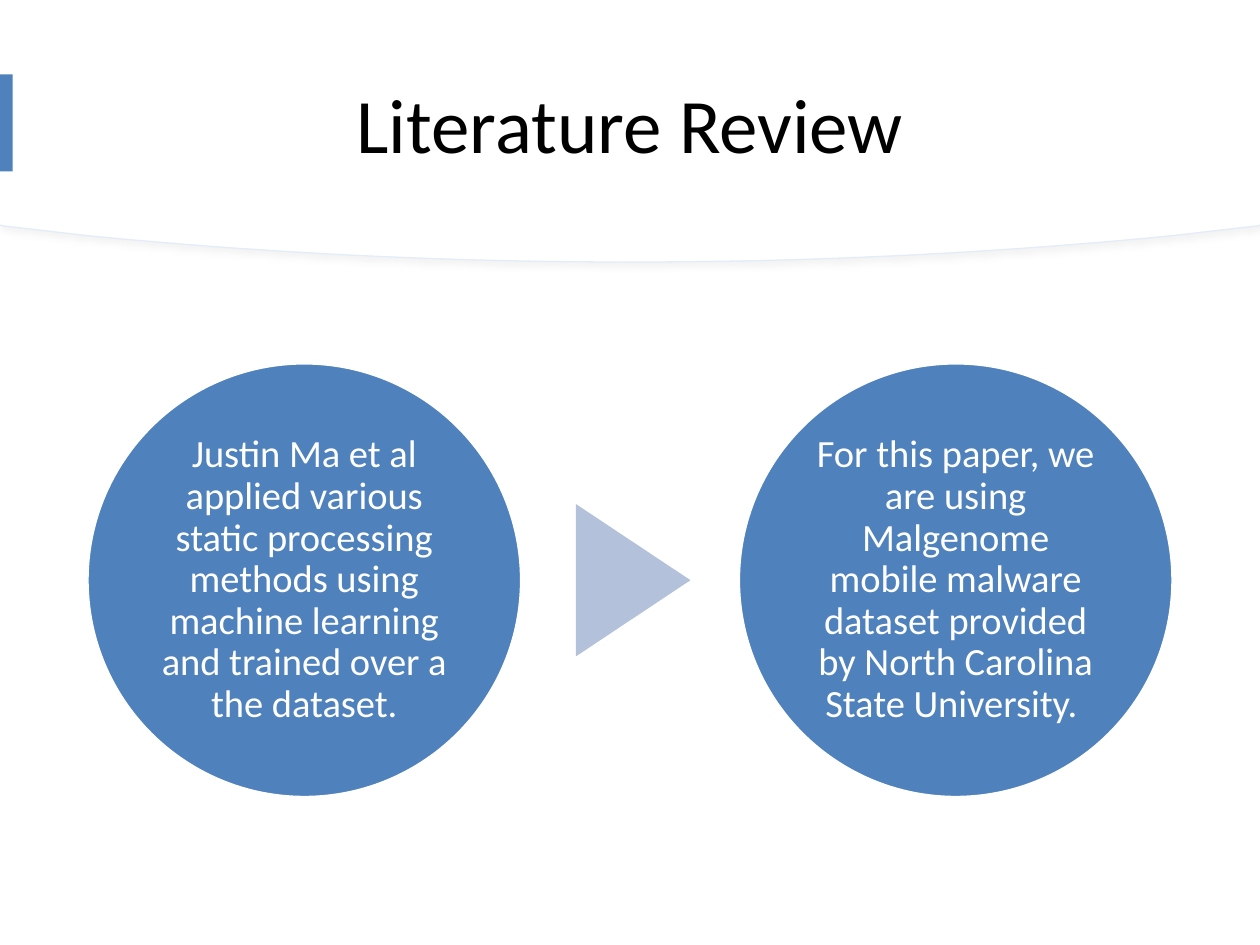
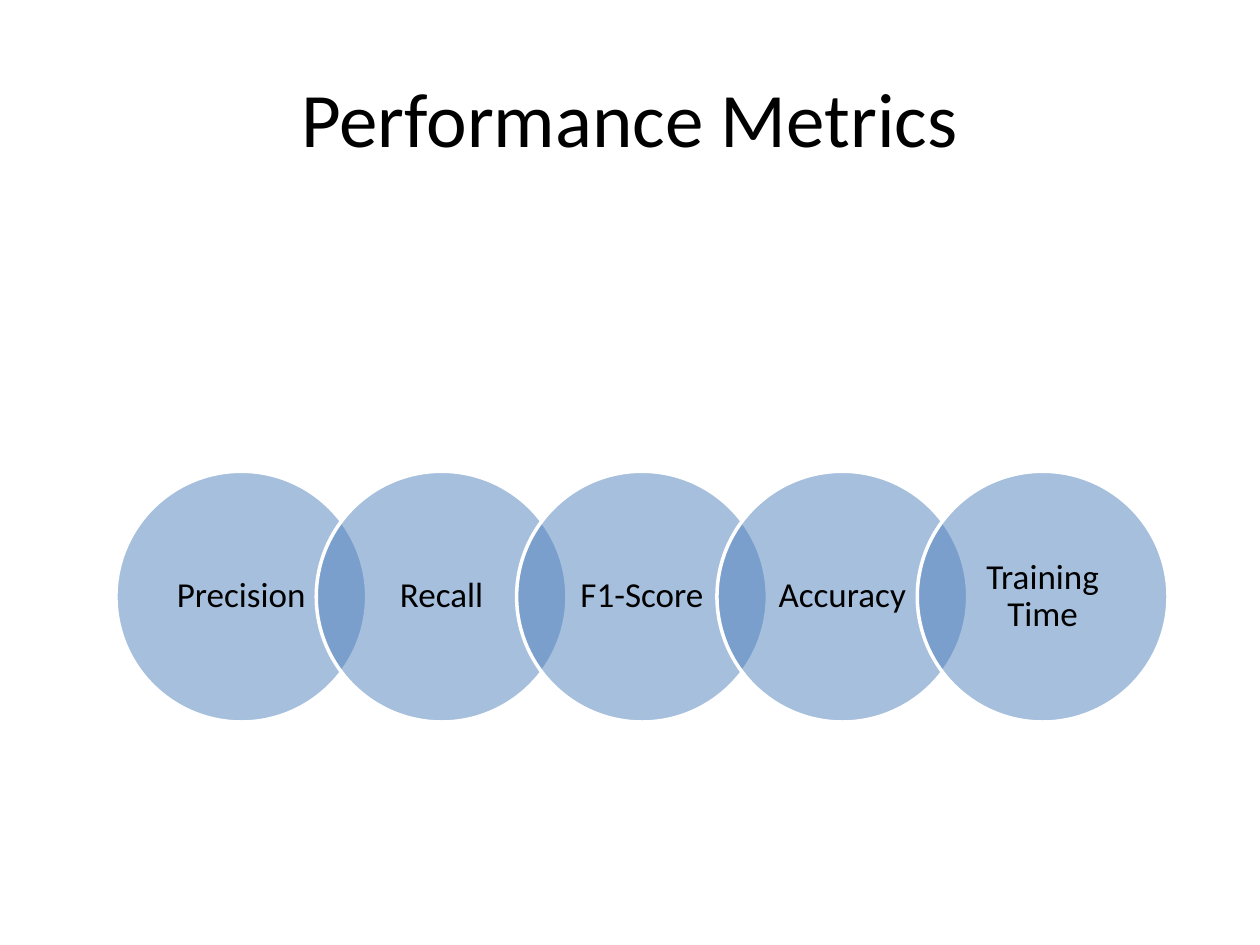
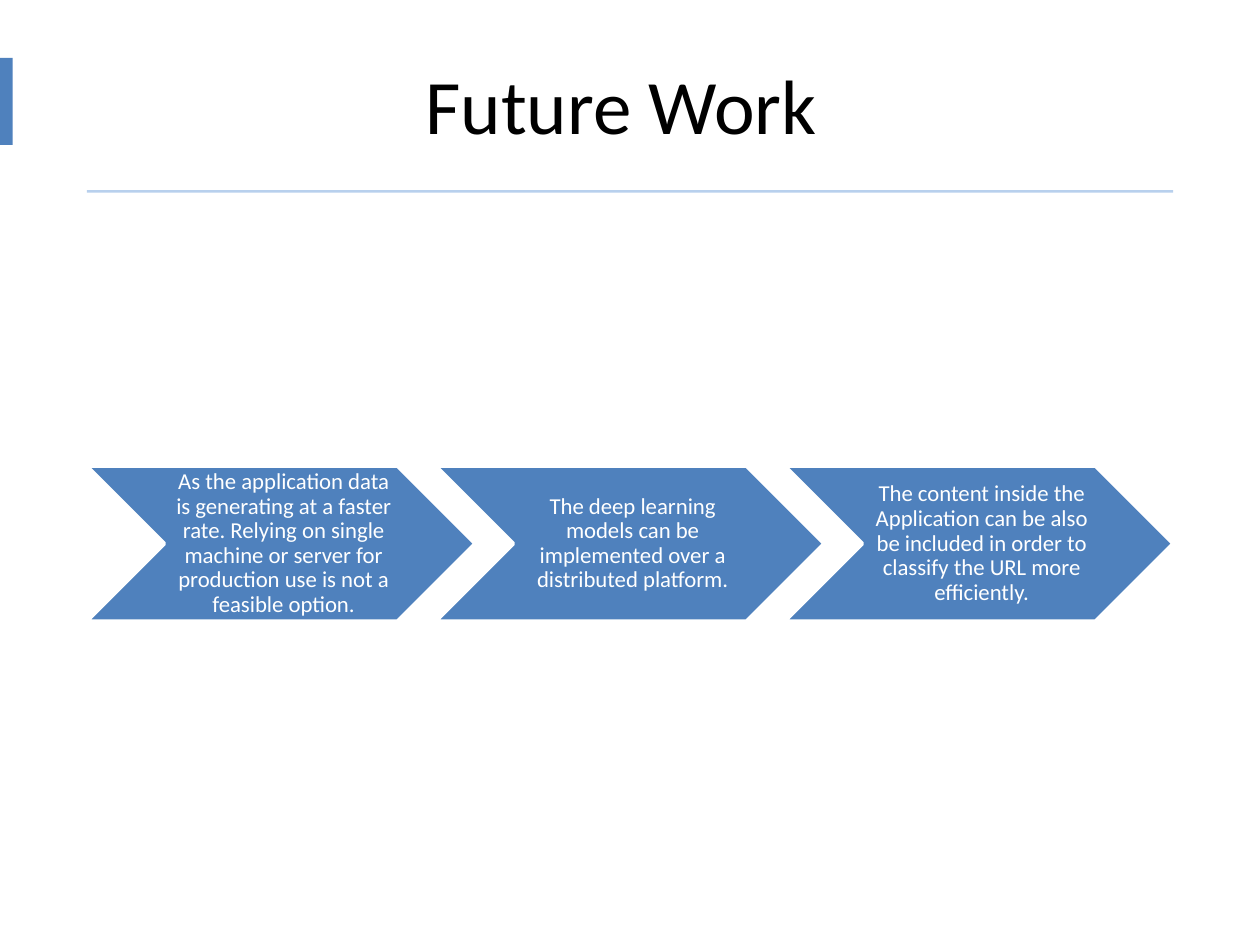
from lxml.etree import SubElement
from pptx import Presentation
from pptx.dml.color import RGBColor
from pptx.enum.shapes import MSO_SHAPE
from pptx.enum.text import MSO_ANCHOR, PP_ALIGN
from pptx.oxml.ns import qn
from pptx.util import Inches, Pt

COLORS = {
    "accent": "4F81BD",
    "arrow": "B3C1DB",
    "rule": "B8D0ED",
    "curve": "E3ECF8",
    "shadow": "D9D9D9",
    "white": "FFFFFF",
    "black": "000000",
}
FONT = "Calibri"
MARGIN = 0.69
CONTENT_WIDTH = 8.62


def rgb(name):
    """Return the named palette colour."""
    return RGBColor.from_string(COLORS[name])


def bezier(start, first, second, end, steps=24):
    """Return points along a cubic curve, after its start."""
    points = []
    for step in range(1, steps + 1):
        t = step / steps
        u = 1 - t
        weights = (u ** 3, 3 * u * u * t, 3 * u * t * t, t ** 3)
        points.append(tuple(
            sum(w * point[axis] for w, point in zip(weights, (start, first, second, end)))
            for axis in (0, 1)))
    return points


class Deck:
    """Holds the shared style and the slide being built."""

    def __init__(self):
        """Start an empty 10 by 7.5 inch deck."""
        self.presentation = Presentation()
        self.presentation.slide_width = Inches(10)
        self.presentation.slide_height = Inches(7.5)
        self.slide = None

    def new_slide(self):
        """Add a blank slide and make it current."""
        self.slide = self.presentation.slides.add_slide(self.presentation.slide_layouts[6])

    def set_text(self, frame, text, size, color, insets=None, spacing=None):
        """Fill a text frame with one centred paragraph."""
        frame.word_wrap = True
        frame.vertical_anchor = MSO_ANCHOR.MIDDLE
        if insets:
            (frame.margin_left, frame.margin_top,
             frame.margin_right, frame.margin_bottom) = map(Inches, insets)
        paragraph = frame.paragraphs[0]
        paragraph.text = text
        paragraph.alignment = PP_ALIGN.CENTER
        paragraph.line_spacing = spacing
        paragraph.font.name = FONT
        paragraph.font.size = Pt(size)
        paragraph.font.color.rgb = rgb(color)

    def title(self, text, left, top, width, height):
        """Add the slide title."""
        heading = self.slide.shapes.add_textbox(*map(Inches, (left, top, width, height)))
        self.set_text(heading.text_frame, text, 44, "black")

    def paint(self, shape, fill, line=None, weight=2.0, opacity=None):
        """Give a shape its fill and outline, without a shadow."""
        shape.shadow.inherit = False
        shape.fill.solid()
        shape.fill.fore_color.rgb = rgb(fill)
        if opacity:
            color = shape._element.spPr.find(qn("a:solidFill")).find(qn("a:srgbClr"))
            SubElement(color, qn("a:alpha"), val=str(opacity * 1000))
        if line:
            shape.line.color.rgb = rgb(line)
            shape.line.width = Pt(weight)
        else:
            shape.line.fill.background()

    def shape(self, kind, left, top, width, height, fill="accent", **look):
        """Add a preset shape."""
        added = self.slide.shapes.add_shape(kind, *map(Inches, (left, top, width, height)))
        self.paint(added, fill, **look)
        return added

    def row(self, kind, texts, left, top, width, height, pitch,
            size, insets, color="white", opacity=None):
        """Add equally spaced shapes that each carry a text."""
        for index, text in enumerate(texts):
            step = self.shape(kind, left + index * pitch, top, width, height,
                              line="white", opacity=opacity)
            self.set_text(step.text_frame, text, size, color, insets, spacing=0.9)

    def tab(self, top, height):
        """Add the accent tab at the left edge."""
        self.shape(MSO_SHAPE.RECTANGLE, 0, top, 0.1, height)

    def curved_band(self, depth, line=None, shadow=False):
        """Add the white header band with a curved lower edge."""
        shoulder = depth - 0.21
        right_half = bezier((9.31, shoulder), (7.99, depth - 0.08), (6.53, depth), (5, depth))
        right_half = [(10, depth - 0.29), (9.31, shoulder)] + right_half
        left_half = [(10 - x, y) for x, y in reversed(right_half[:-1])]
        outline = [(10, 0)] + right_half + left_half
        builder = self.slide.shapes.build_freeform(0, 0)
        builder.add_line_segments([(Inches(x), Inches(y)) for x, y in outline], close=True)
        band = builder.convert_to_shape()
        self.paint(band, "white", line, 0.75)
        if shadow:
            effects = band._element.spPr.find(qn("a:effectLst"))
            outer = SubElement(effects, qn("a:outerShdw"), blurRad=str(int(Pt(4))),
                               dist=str(int(Pt(3))), dir=str(45 * 60000), rotWithShape="0")
            color = SubElement(outer, qn("a:srgbClr"), val=COLORS["shadow"])
            SubElement(color, qn("a:alpha"), val="30000")


def literature_review(deck):
    """Build the slide on earlier work and the dataset."""
    deck.new_slide()
    deck.curved_band(2.08, line="curve", shadow=True)
    deck.curved_band(2.07)
    deck.title("Literature Review", MARGIN, 0.28, CONTENT_WIDTH, 1.39)
    deck.tab(0.59, 0.77)
    studies = [
        "Justin Ma et al applied various static processing methods using "
        "machine learning and trained over a the dataset.",
        "For this paper, we are using Malgenome mobile malware dataset "
        "provided by North Carolina State University. ",
    ]
    deck.row(MSO_SHAPE.OVAL, studies, MARGIN, 2.88, 3.45, 3.45, pitch=5.17,
             size=22, insets=(0.03, 0.03, 0.03, 0.03))
    arrow = deck.shape(MSO_SHAPE.ISOSCELES_TRIANGLE, 4.42, 4.15, 1.21, 0.91, fill="arrow")
    arrow.rotation = 90


def performance_metrics(deck):
    """Build the slide of overlapping metrics."""
    deck.new_slide()
    deck.title("Performance Metrics", 0.5, 0.3, 9, 1.25)
    metrics = ["Precision", "Recall", "F1-Score", "Accuracy", "Training Time"]
    deck.row(MSO_SHAPE.OVAL, metrics, 0.92, 3.74, 1.99, 1.99, pitch=1.59,
             size=20, insets=(0.11, 0.03, 0.11, 0.03), color="black", opacity=50)


def future_work(deck):
    """Build the slide of next steps."""
    deck.new_slide()
    deck.title("Future Work ", MARGIN, 0.27, CONTENT_WIDTH, 1.1)
    deck.tab(0.46, 0.69)
    deck.shape(MSO_SHAPE.RECTANGLE, MARGIN, 1.51, CONTENT_WIDTH, 0.02, fill="rule")
    plans = [
        "As the application data is generating at a faster rate. Relying on single "
        "machine or server for production use is not a feasible option.",
        "The deep learning models can be implemented over a distributed platform.",
        "The content inside the Application can be also be included in order to "
        "classify the URL more efficiently.",
    ]
    deck.row(MSO_SHAPE.CHEVRON, plans, MARGIN, 3.7, 3.08, 1.23, pitch=2.77,
             size=13, insets=(0.06, 0.02, 0.02, 0.02))


def main():
    """Build and save the deck."""
    deck = Deck()
    literature_review(deck)
    performance_metrics(deck)
    future_work(deck)
    deck.presentation.save("out.pptx")


if __name__ == "__main__":
    main()
